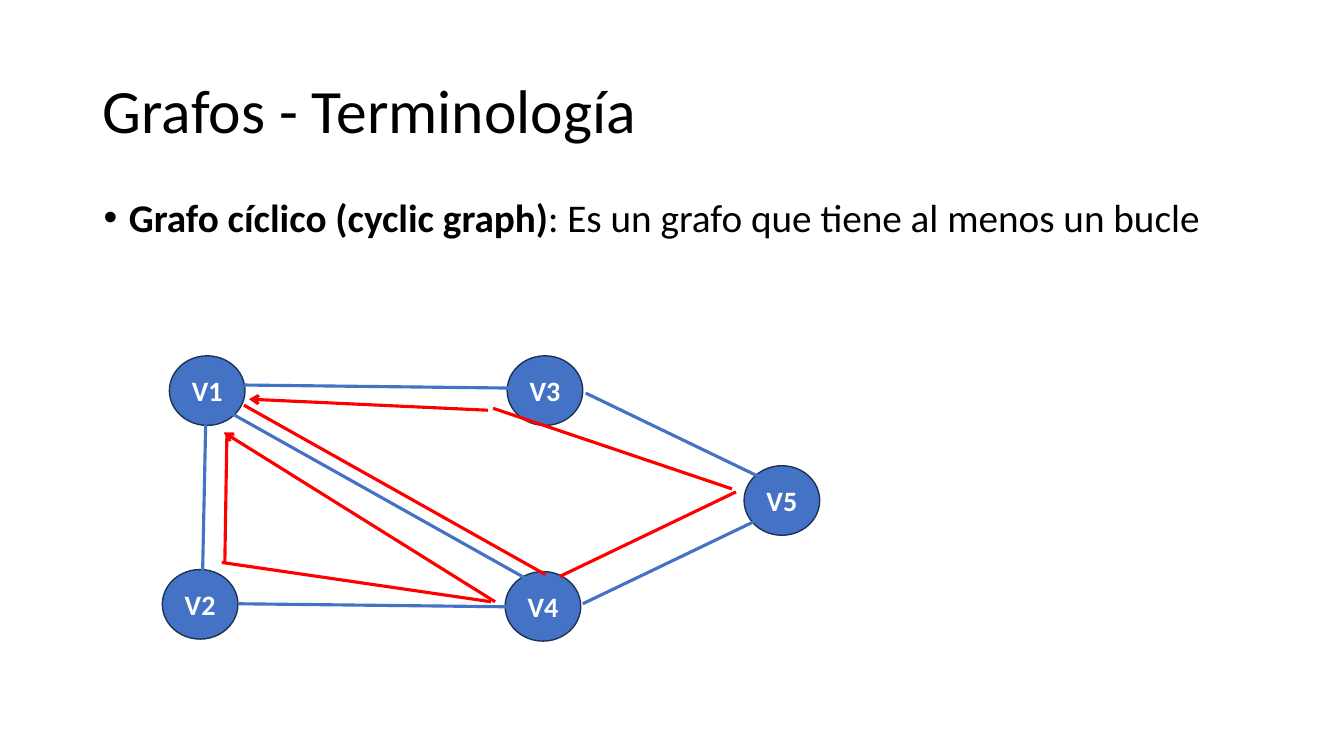
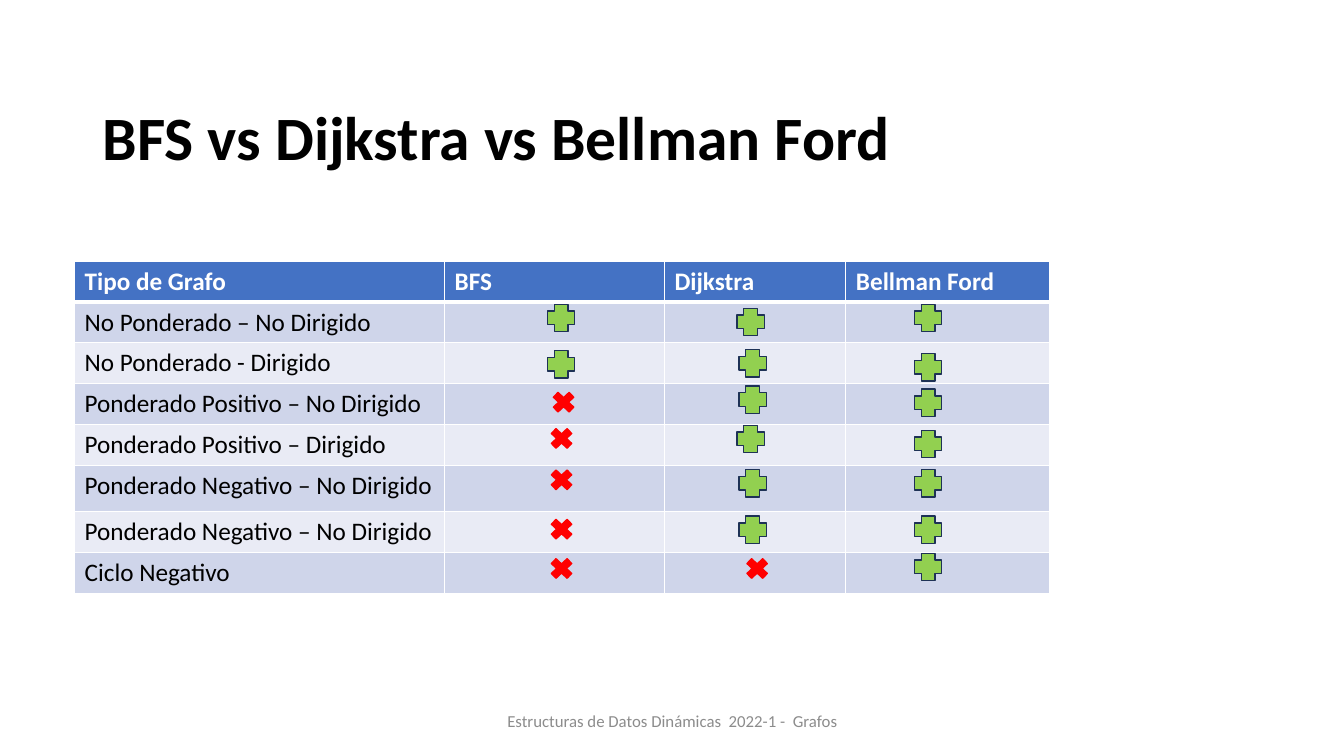
from dataclasses import dataclass
from itertools import accumulate
from typing import NamedTuple

from lxml import etree
from pptx import Presentation
from pptx import oxml
from pptx import slide as s
from pptx import util as u
from pptx.dml import color
from pptx.enum import shapes, text
from pptx.oxml import ns


@dataclass(frozen=True)
class Theme:
    font: str = "Calibri"
    black: str = "000000"
    white: str = "FFFFFF"
    blue: str = "4472C4"
    navy: str = "1E3256"
    red: str = "FF0000"
    green: str = "92D050"
    gray: str = "8C8C8C"
    bands: tuple[str, str] = ("CFD5EA", "E9EBF5")
    title_size: int = 44
    body_size: int = 28
    node_size: int = 20
    table_size: int = 18
    footer_size: int = 12
    edge_width: float = 2.25


class Node(NamedTuple):
    label: str
    left: float
    top: float


class Edge(NamedTuple):
    x1: float
    y1: float
    x2: float
    y2: float
    arrow: bool = False


class MarkStyle(NamedTuple):
    preset: shapes.MSO_SHAPE
    width: float
    height: float
    fill: str
    line: str


class Marks(NamedTuple):
    style: MarkStyle
    left: float
    tops: tuple[float, ...]


THEME = Theme()
CROSS = MarkStyle(shapes.MSO_SHAPE.MATH_MULTIPLY, 0.3, 0.28, THEME.red, THEME.red)
PLUS = MarkStyle(shapes.MSO_SHAPE.CROSS, 0.27, 0.27, THEME.green, THEME.navy)

NODES = (
    Node("V1", 1.68, 3.53),
    Node("V5", 7.38, 4.62),
    Node("V2", 1.61, 5.65),
    Node("V4", 5.01, 5.67),
    Node("V3", 5.03, 3.53),
)
GRAPH_EDGES = (
    Edge(2.42, 3.82, 5.07, 3.85),
    Edge(2.37, 5.99, 5.03, 6.02),
    Edge(2.15, 4.02, 5.36, 5.82),
    Edge(5.81, 3.9, 7.53, 4.73),
    Edge(5.78, 5.99, 7.53, 5.15),
    Edge(2.04, 4.21, 2.01, 5.66),
)
CYCLE_EDGES = (
    Edge(2.25, 4.33, 2.23, 5.58),
    Edge(4.87, 5.97, 2.2, 5.58),
    Edge(4.91, 5.97, 2.22, 4.29, arrow=True),
    Edge(5.41, 5.7, 2.42, 4.02),
    Edge(4.84, 4.07, 2.47, 3.96, arrow=True),
    Edge(7.3, 4.88, 5.55, 5.72),
    Edge(7.26, 4.85, 4.89, 4.05),
)

HEADERS = ("Tipo de Grafo", "BFS", "Dijkstra", "Bellman Ford")
GRAPH_TYPES = (
    "No Ponderado – No Dirigido",
    "No Ponderado - Dirigido",
    "Ponderado Positivo – No Dirigido",
    "Ponderado Positivo – Dirigido",
    "Ponderado Negativo – No Dirigido",
    "Ponderado Negativo – No Dirigido",
    "Ciclo Negativo",
)
COLUMN_WIDTHS = (3.67, 2.18, 1.8, 2.02)
ROW_HEIGHTS = (0.4,) * 5 + (0.46,) + (0.4,) * 2
MARKS = (
    Marks(PLUS, 5.43, (3.02, 3.48)),
    Marks(CROSS, 5.44, (3.85,)),
    Marks(CROSS, 5.42, (4.21, 4.62, 5.11, 5.5)),
    Marks(PLUS, 7.31, (3.06, 4.22)),
    Marks(PLUS, 7.33, (3.47, 3.83, 4.66, 5.12)),
    Marks(CROSS, 7.36, (5.5,)),
    Marks(PLUS, 9.07, (3.02, 3.51, 3.86, 4.27, 4.66, 5.12, 5.49)),
)


def rgb(value: str) -> color.RGBColor:
    return color.RGBColor.from_string(value)


def set_font(para, size: int, tint: str, bold: bool | None = None) -> None:
    para.font.name = THEME.font
    para.font.size = u.Pt(size)
    para.font.color.rgb = rgb(tint)
    para.font.bold = bold


def add_page(deck, title: str, top: float, bold: bool = False) -> s.Slide:
    page = deck.slides.add_slide(deck.slide_layouts[5])
    box = page.shapes.title
    box.left, box.top = u.Inches(0.92), u.Inches(top)
    box.width, box.height = u.Inches(11.5), u.Inches(1.45)
    frame = box.text_frame
    frame.text = title
    frame.auto_size = text.MSO_AUTO_SIZE.NONE
    frame.vertical_anchor = text.MSO_ANCHOR.MIDDLE
    para = frame.paragraphs[0]
    para.alignment = text.PP_ALIGN.LEFT
    para.line_spacing = 0.9
    set_font(para, THEME.title_size, THEME.black, bold)
    return page


def add_text_box(page: s.Slide, left: float, top: float, width: float, height: float):
    box = page.shapes.add_textbox(u.Inches(left), u.Inches(top), u.Inches(width), u.Inches(height))
    box.text_frame.word_wrap = True
    return box.text_frame


def add_definition(page: s.Slide, term: str, meaning: str) -> None:
    para = add_text_box(page, 0.93, 1.92, 11.5, 0.75).paragraphs[0]
    para.line_spacing = 0.9
    properties = para._p.get_or_add_pPr()
    properties.set("marL", str(u.Inches(0.25)))
    properties.set("indent", str(u.Inches(-0.25)))
    etree.SubElement(properties, ns.qn("a:buFont"), typeface="Arial")
    etree.SubElement(properties, ns.qn("a:buChar"), char="•")
    set_font(para, THEME.body_size, THEME.black)
    for words, bold in ((term, True), (meaning, False)):
        span = para.add_run()
        span.text = words
        span.font.bold = bold


def add_footer(page: s.Slide, words: str) -> None:
    frame = add_text_box(page, 4.42, 6.95, 4.5, 0.4)
    frame.vertical_anchor = text.MSO_ANCHOR.MIDDLE
    para = frame.paragraphs[0]
    para.text = words
    para.alignment = text.PP_ALIGN.CENTER
    set_font(para, THEME.footer_size, THEME.gray)


def add_figure(page: s.Slide, style: MarkStyle, left: float, top: float):
    figure = page.shapes.add_shape(
        style.preset, u.Inches(left), u.Inches(top), u.Inches(style.width), u.Inches(style.height)
    )
    figure.shadow.inherit = False
    figure.fill.solid()
    figure.fill.fore_color.rgb = rgb(style.fill)
    figure.line.color.rgb = rgb(style.line)
    figure.line.width = u.Pt(1)
    return figure


def add_node(page: s.Slide, node: Node) -> None:
    style = MarkStyle(shapes.MSO_SHAPE.OVAL, 0.75, 0.69, THEME.blue, THEME.navy)
    frame = add_figure(page, style, node.left, node.top).text_frame
    frame.word_wrap = False
    frame.vertical_anchor = text.MSO_ANCHOR.MIDDLE
    para = frame.paragraphs[0]
    para.text = node.label
    para.alignment = text.PP_ALIGN.CENTER
    set_font(para, THEME.node_size, THEME.white, True)


def add_edge(page: s.Slide, edge: Edge, tint: str) -> None:
    line = page.shapes.add_connector(
        shapes.MSO_CONNECTOR.STRAIGHT,
        u.Inches(edge.x1), u.Inches(edge.y1), u.Inches(edge.x2), u.Inches(edge.y2),
    )
    line.line.color.rgb = rgb(tint)
    line.line.width = u.Pt(THEME.edge_width)
    properties = line._element.spPr
    if edge.arrow:
        etree.SubElement(properties.find(ns.qn("a:ln")), ns.qn("a:tailEnd"), type="arrow")
    etree.SubElement(properties, ns.qn("a:effectLst"))


def style_cell(cell, fill: str, bottom: int) -> None:
    properties = cell._tc.get_or_add_tcPr()
    for side, points in (("L", 1), ("R", 1), ("T", 1), ("B", bottom)):
        border = etree.SubElement(properties, ns.qn(f"a:ln{side}"), w=str(u.Pt(points)))
        paint = etree.SubElement(border, ns.qn("a:solidFill"))
        etree.SubElement(paint, ns.qn("a:srgbClr"), val=THEME.white)
    cell.fill.solid()
    cell.fill.fore_color.rgb = rgb(fill)


def add_comparison(page: s.Slide) -> None:
    rows = [HEADERS] + [(name, "", "", "") for name in GRAPH_TYPES]
    table = page.shapes.add_table(
        len(rows), len(HEADERS), u.Inches(0.74), u.Inches(2.59),
        u.Inches(sum(COLUMN_WIDTHS)), u.Inches(sum(ROW_HEIGHTS)),
    ).table
    for column, width in zip(table.columns, COLUMN_WIDTHS):
        column.width = u.Inches(width)
    for index, (row, height, words) in enumerate(zip(table.rows, ROW_HEIGHTS, rows)):
        row.height = u.Inches(height)
        header = index == 0
        for cell, label in zip(row.cells, words):
            style_cell(cell, THEME.blue if header else THEME.bands[(index - 1) % 2], 3 if header else 1)
            para = cell.text_frame.paragraphs[0]
            if label:
                para.text = label
            set_font(para, THEME.table_size, THEME.white if header else THEME.black, header)


def build_cycle_page(deck) -> None:
    page = add_page(deck, "Grafos - Terminología", 0.4)
    add_definition(page, "Grafo cíclico (cyclic graph)", ": Es un grafo que tiene al menos un bucle")
    for node in NODES:
        add_node(page, node)
    for edges, tint in ((GRAPH_EDGES, THEME.blue), (CYCLE_EDGES, THEME.red)):
        for edge in edges:
            add_edge(page, edge, tint)


def build_comparison_page(deck) -> None:
    page = add_page(deck, "BFS vs Dijkstra vs Bellman Ford", 0.67, bold=True)
    add_comparison(page)
    add_footer(page, "Estructuras de Datos Dinámicas  2022-1 -  Grafos")
    for marks in MARKS:
        for top in marks.tops:
            add_figure(page, marks.style, marks.left, top)


def main() -> None:
    deck = Presentation()
    deck.slide_width, deck.slide_height = u.Inches(13.33), u.Inches(7.5)
    build_cycle_page(deck)
    build_comparison_page(deck)
    deck.save("out.pptx")


if __name__ == "__main__":
    main()
